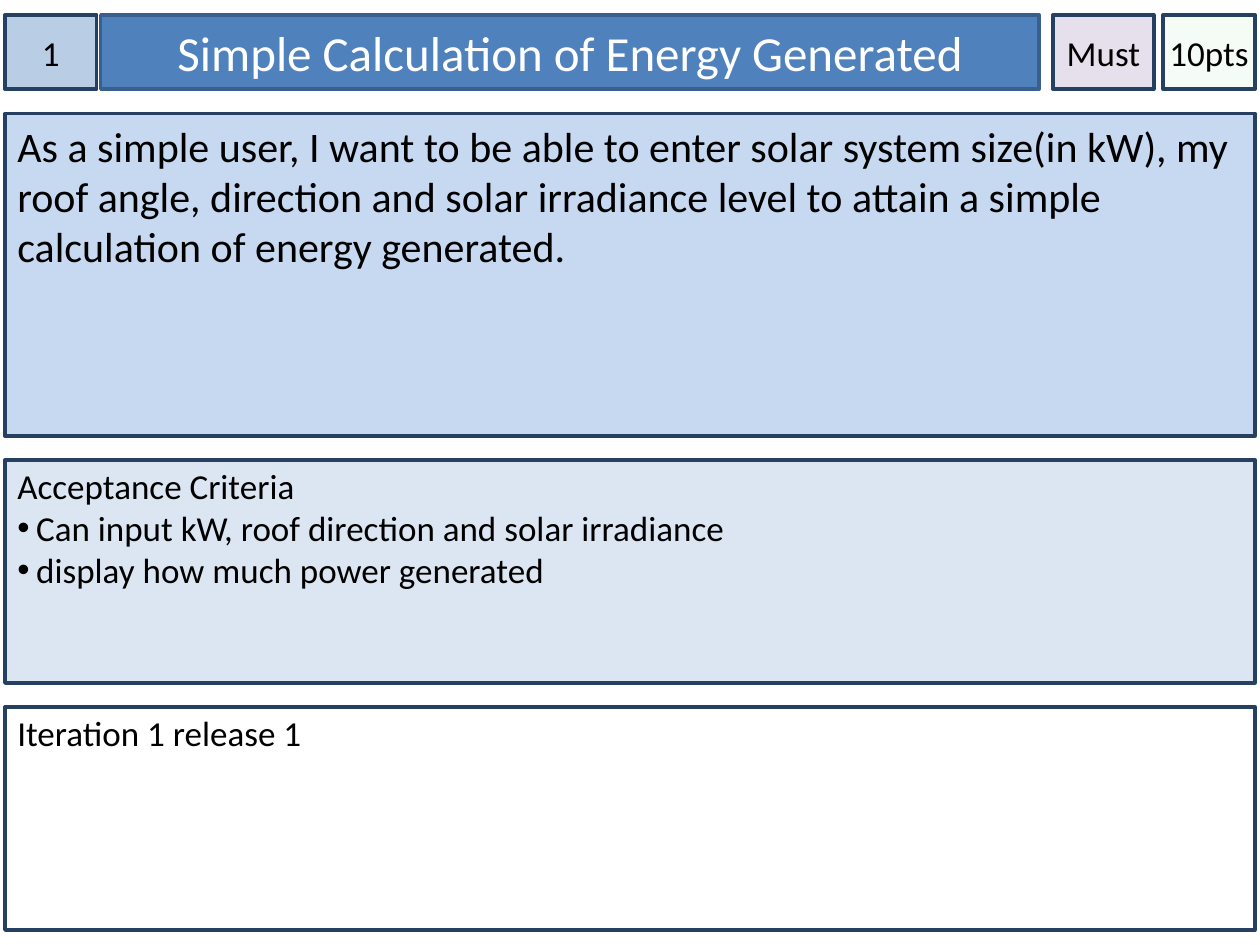
from lxml.etree import SubElement
from pptx import Presentation
from pptx.dml.color import RGBColor
from pptx.enum.shapes import MSO_SHAPE
from pptx.enum.text import MSO_ANCHOR, PP_ALIGN
from pptx.oxml.ns import qn
from pptx.util import Cm, Pt


def color(hex_string):
    return RGBColor.from_string(hex_string)


def write_text(paragraph, text, font="Calibri", size=20, ink="000000",
               align=PP_ALIGN.LEFT, bullet=False):
    if bullet:
        properties = paragraph._p.get_or_add_pPr()
        properties.set("marL", str(Cm(0.38)))
        properties.set("indent", str(-Cm(0.38)))
        SubElement(properties, qn("a:buFont"), typeface="Arial")
        SubElement(properties, qn("a:buChar"), char="•")
    paragraph.alignment = align
    run = paragraph.add_run()
    run.text = text
    run.font.name = font
    run.font.size = Pt(size)
    run.font.color.rgb = color(ink)


class StoryCard:
    border = "254061"
    border_width = 2
    left = 0.1
    width = 25.2
    header_top = 0.3
    header_height = 1.5

    def __init__(self, slide):
        self.slide = slide

    def box(self, left, top, width, height, fill, border=None, opacity=100):
        shape = self.slide.shapes.add_shape(
            MSO_SHAPE.RECTANGLE, Cm(left), Cm(top), Cm(width), Cm(height))
        shape.shadow.inherit = False
        shape.fill.solid()
        shape.fill.fore_color.rgb = color(fill)
        if opacity < 100:
            fill_color = shape._element.spPr.find(qn("a:solidFill"))[0]
            SubElement(fill_color, qn("a:alpha"), val=str(opacity * 1000))
        shape.line.color.rgb = color(border or self.border)
        shape.line.width = Pt(self.border_width)
        return shape

    def header(self, text, left, width, fill, border=None, opacity=100,
               inset=0, wrap=True, **text_format):
        shape = self.box(left, self.header_top, width, self.header_height,
                         fill, border, opacity)
        frame = shape.text_frame
        frame.word_wrap = wrap
        frame.vertical_anchor = MSO_ANCHOR.MIDDLE
        frame.margin_left = frame.margin_right = Cm(inset)
        write_text(frame.paragraphs[0], text, align=PP_ALIGN.CENTER, **text_format)

    def panel(self, text, top, height, fill, bullets=(), inset_top=0.1, size=20):
        shape = self.box(self.left, top, self.width, height, fill)
        frame = shape.text_frame
        frame.word_wrap = True
        frame.vertical_anchor = MSO_ANCHOR.TOP
        frame.margin_top = Cm(inset_top)
        write_text(frame.paragraphs[0], text, size=size)
        for bullet in bullets:
            write_text(frame.add_paragraph(), bullet, size=size, bullet=True)


def main():
    presentation = Presentation()
    presentation.slide_width = Cm(25.4)
    presentation.slide_height = Cm(19.05)
    card = StoryCard(presentation.slides.add_slide(presentation.slide_layouts[6]))

    card.header("1", 0.1, 1.85, "B9CDE5")
    card.header("Simple Calculation of Energy Generated", 2.03, 18.92, "4F81BD",
                border="3A5F8C", inset=0.25, size=28, ink="FFFFFF")
    card.header("Must", 21.23, 2.03, "E6E0EC", wrap=False)
    card.header("10pts", 23.45, 1.85, "CCF0CD", opacity=20)

    story = ("As a simple user, I want to be able to enter solar system size(in kW), "
             "my roof angle, direction and solar irradiance level to attain a simple "
             "calculation of energy generated.")
    criteria = ["Can input kW, roof direction and solar irradiance",
                "display how much power generated"]
    panels = [
        (6.5, dict(text=story, fill="C6D9F1", size=24, inset_top=0.13)),
        (4.5, dict(text="Acceptance Criteria", fill="DCE6F2", bullets=criteria)),
        (4.5, dict(text="Iteration 1 release 1", fill="FFFFFF")),
    ]
    top, gap = 2.29, 0.48
    for height, content in panels:
        card.panel(top=top, height=height, **content)
        top += height + gap

    presentation.save("out.pptx")


if __name__ == "__main__":
    main()
